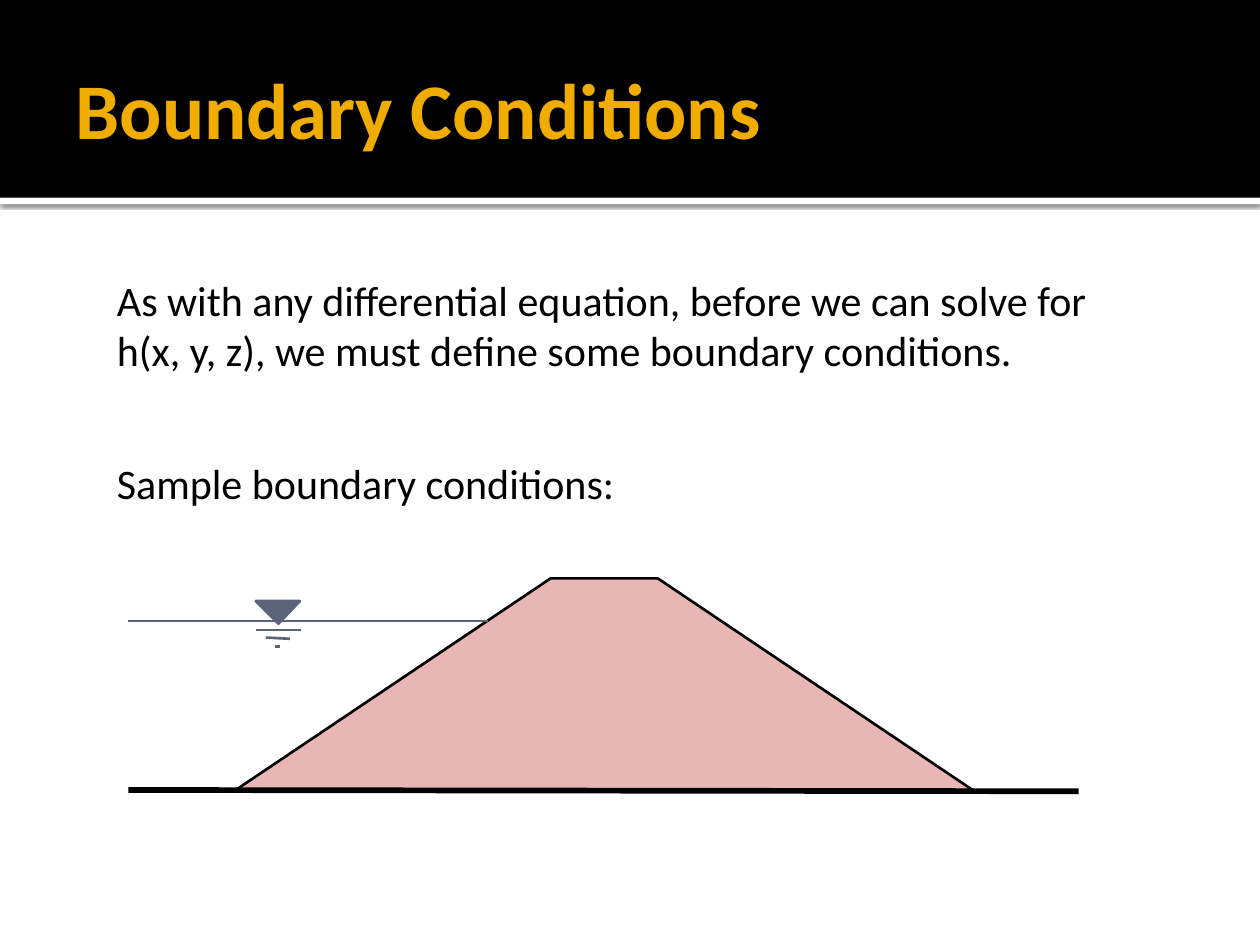
"""Build the Boundary Conditions slide with its embankment dam sketch."""
from dataclasses import dataclass

from lxml import etree
from pptx import Presentation
from pptx import util as u
from pptx.dml.color import RGBColor
from pptx.enum import shapes, text
from pptx.oxml import parse_xml
from pptx.oxml.ns import nsdecls, qn

COLORS = {
    "black": "000000",
    "white": "FFFFFF",
    "gold": "F0AD00",
    "water": "5A6378",
    "soil": "E8B6B5",
}
FONT = "Calibri"
Point = tuple[float, float]


@dataclass(frozen=True)
class Band:
    top: float
    height: float
    color: str
    shadow: bool = False


@dataclass(frozen=True)
class Stroke:
    start: Point
    end: Point
    color: str = "water"
    width: float = 1.5


@dataclass(frozen=True)
class Outline:
    points: tuple[Point, ...]
    fill: str | None = None
    line: str | None = None
    closed: bool = True


DAM = ((1.87, 6.27), (4.37, 4.59), (5.22, 4.59), (7.72, 6.27))
BANDS = (Band(1.57, 0.05, "white", shadow=True), Band(0, 1.57, "black"))
OUTLINES = (
    Outline(((2.03, 4.77), (2.21, 4.95), (2.38, 4.77)), fill="water", line="water"),
    Outline(DAM, fill="soil"),
    Outline(DAM, line="black", closed=False),
)
STROKES = (
    Stroke((2.39, 5), (2.03, 5)),
    Stroke((2.11, 5.06), (2.3, 5.07)),
    Stroke((2.22, 5.13), (2.18, 5.13)),
    Stroke((1.02, 4.93), (3.87, 4.93)),
    Stroke((1.02, 6.27), (8.56, 6.28), "black", 3.25),
)


def rgb(name: str) -> RGBColor:
    return RGBColor.from_string(COLORS[name])


def write(frame, content: str, *, size: float, color: str = "black",
          bold: bool = False, wrap: bool = True,
          anchor=text.MSO_ANCHOR.TOP) -> None:
    frame.word_wrap = wrap
    frame.vertical_anchor = anchor
    paragraph = frame.paragraphs[0]
    paragraph.alignment = text.PP_ALIGN.LEFT
    run = paragraph.add_run()
    run.text = content
    run.font.name = FONT
    run.font.size = u.Pt(size)
    run.font.bold = bold
    run.font.color.rgb = rgb(color)


def draw_band(slide, band: Band) -> None:
    strip = slide.shapes.add_shape(
        shapes.MSO_SHAPE.RECTANGLE, 0, u.Inches(band.top),
        u.Inches(10), u.Inches(band.height))
    strip.fill.solid()
    strip.fill.fore_color.rgb = rgb(band.color)
    strip.line.fill.background()
    strip.shadow.inherit = False
    if band.shadow:
        strip.element.spPr.find(qn("a:effectLst")).append(parse_xml(
            f'<a:outerShdw {nsdecls("a")} blurRad="{u.Pt(2.5)}" dist="{u.Pt(0.8)}" '
            f'dir="5400000" rotWithShape="0"><a:srgbClr val="{COLORS["black"]}">'
            '<a:alpha val="60000"/></a:srgbClr></a:outerShdw>'))


def draw_outline(slide, outline: Outline) -> None:
    start, *rest = [(u.Inches(x), u.Inches(y)) for x, y in outline.points]
    builder = slide.shapes.build_freeform(*start)
    builder.add_line_segments(rest, close=outline.closed)
    polygon = builder.convert_to_shape()
    polygon.shadow.inherit = False
    if outline.fill:
        polygon.fill.solid()
        polygon.fill.fore_color.rgb = rgb(outline.fill)
    else:
        polygon.fill.background()
    if outline.line:
        polygon.line.color.rgb = rgb(outline.line)
        polygon.line.width = u.Pt(1.5)
    else:
        polygon.line.fill.background()


def draw_stroke(slide, stroke: Stroke) -> None:
    ends = [u.Inches(value) for value in (*stroke.start, *stroke.end)]
    line = slide.shapes.add_connector(shapes.MSO_CONNECTOR.STRAIGHT, *ends)
    line.line.color.rgb = rgb(stroke.color)
    line.line.width = u.Pt(stroke.width)
    etree.SubElement(line.element.spPr, qn("a:effectLst"))


def add_title(slide, content: str) -> None:
    title = slide.shapes.title
    title.left, title.top = u.Inches(0.5), u.Inches(0.17)
    title.width, title.height = u.Inches(9), u.Inches(1.37)
    title.text_frame.margin_right = u.Inches(0.05)
    write(title.text_frame, content, size=45, color="gold", bold=True,
          anchor=text.MSO_ANCHOR.MIDDLE)
    slide.shapes.element.append(title.element)


def add_statement(slide, content: str, top: float, width: float,
                  height: float, **style) -> None:
    statement = slide.shapes.add_textbox(
        u.Inches(0.83), u.Inches(top), u.Inches(width), u.Inches(height))
    write(statement.text_frame, content, size=24, **style)


def main() -> None:
    deck = Presentation()
    deck.slide_width, deck.slide_height = u.Inches(10), u.Inches(7.5)
    slide = deck.slides.add_slide(deck.slide_layouts.get_by_name("Title Only"))
    for band in BANDS:
        draw_band(slide, band)
    add_title(slide, "Boundary Conditions")
    add_statement(
        slide,
        "As with any differential equation, before we can solve for "
        "h(x, y, z), we must define some boundary conditions.",
        2.12, 7.92, 0.91, anchor=text.MSO_ANCHOR.MIDDLE)
    add_statement(slide, "Sample boundary conditions:", 3.58, 4.26, 0.5, wrap=False)
    for outline in OUTLINES:
        draw_outline(slide, outline)
    for stroke in STROKES:
        draw_stroke(slide, stroke)
    deck.save("out.pptx")


if __name__ == "__main__":
    main()
